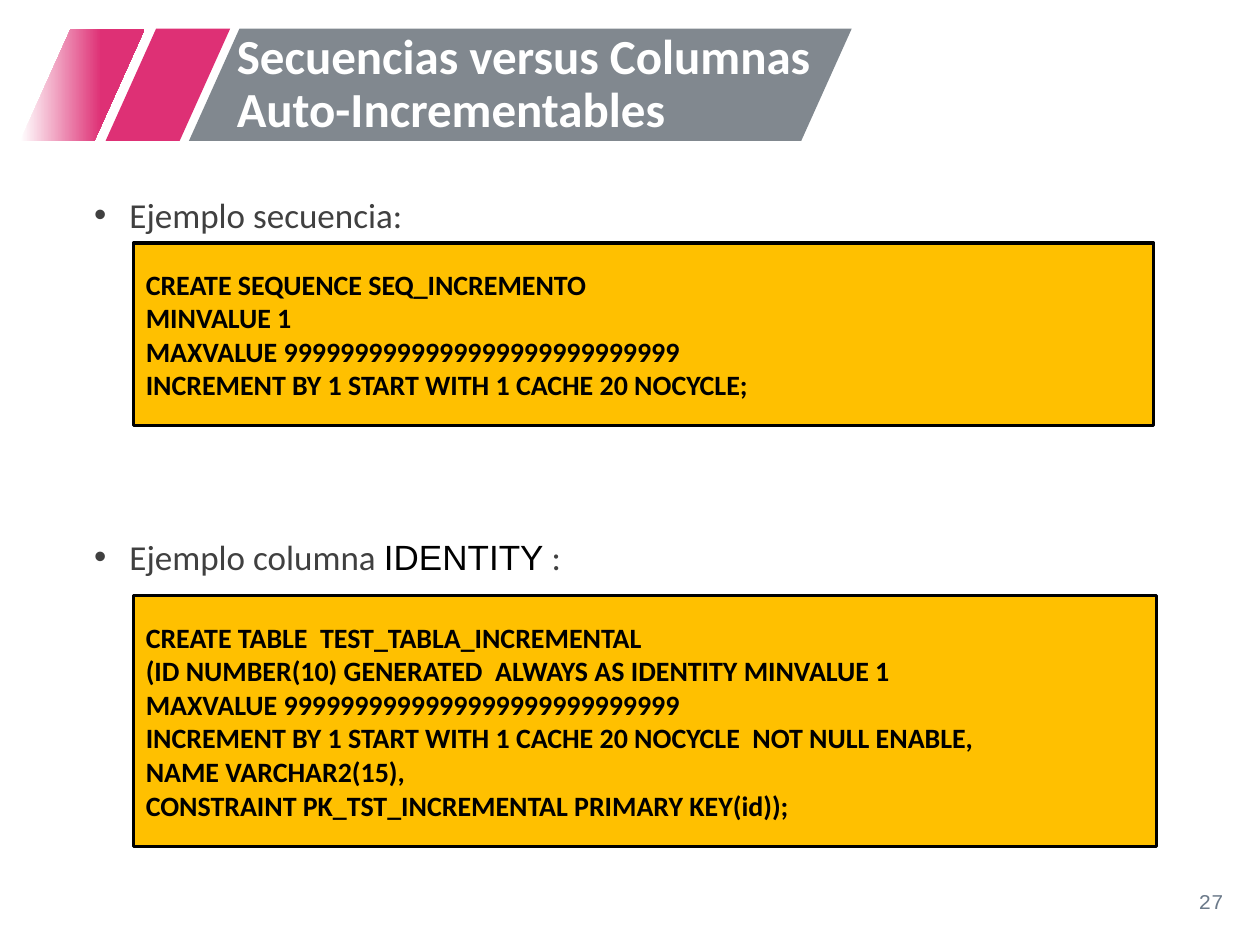
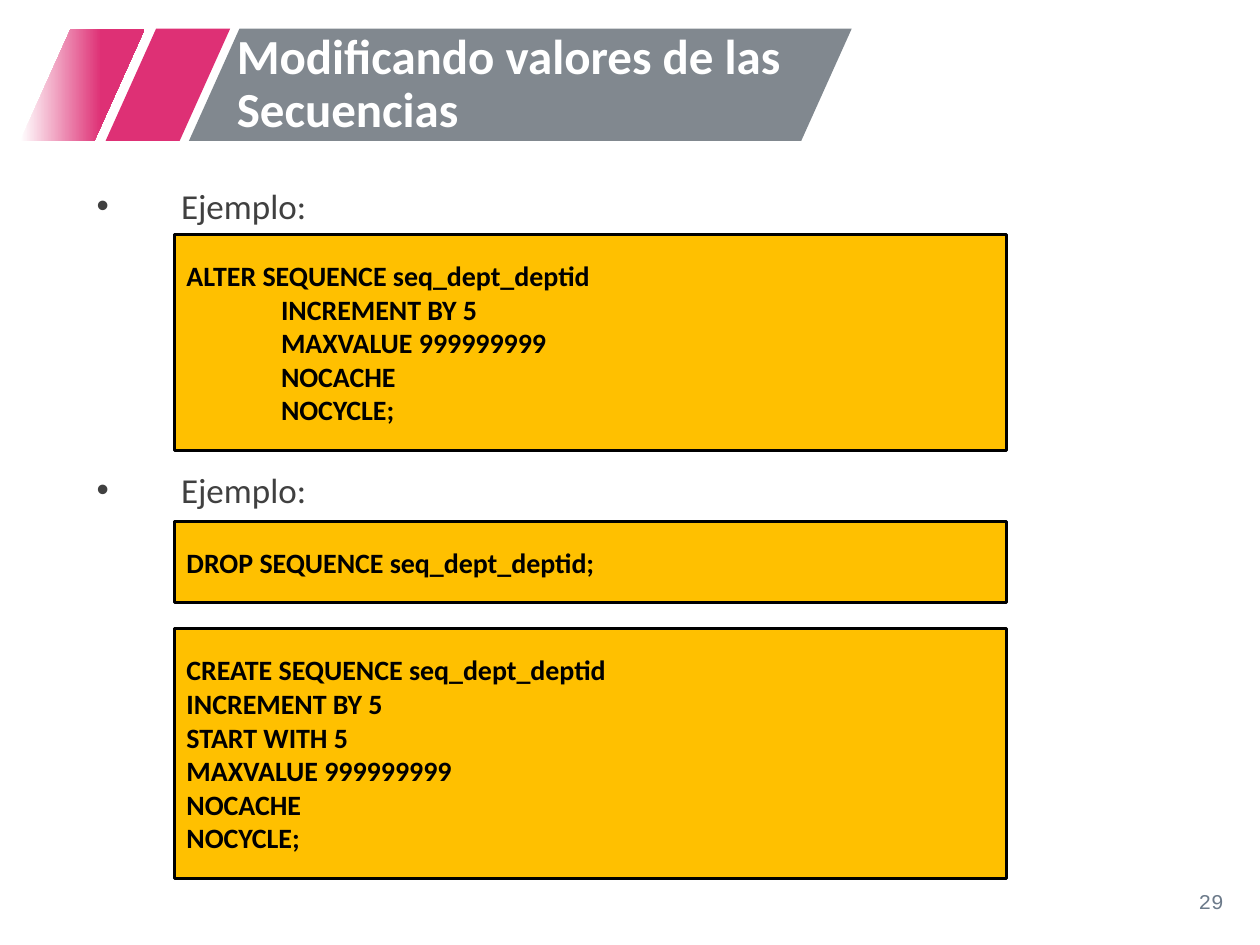
import pptx
import pptx.util
import pptx.dml.color
import pptx.enum.shapes
import pptx.enum.text
from lxml import etree
from pptx.oxml.ns import qn

Cm = pptx.util.Cm
Pt = pptx.util.Pt
RGBColor = pptx.dml.color.RGBColor
MSO_SHAPE = pptx.enum.shapes.MSO_SHAPE
MSO_ANCHOR = pptx.enum.text.MSO_ANCHOR
PP_ALIGN = pptx.enum.text.PP_ALIGN

PINK = RGBColor(0xDE, 0x30, 0x75)
GRAY = RGBColor(0x81, 0x88, 0x8F)
SLATE = RGBColor(0x6C, 0x7A, 0x8A)
DARK = RGBColor(0x40, 0x40, 0x40)
AMBER = RGBColor(0xFF, 0xC0, 0x00)
BLACK = RGBColor(0, 0, 0)
WHITE = RGBColor(0xFF, 0xFF, 0xFF)

TITLE_FONT = {"name": "Calibri", "size": Pt(28), "bold": True}
BODY_FONT = {"name": "Calibri", "size": Pt(20)}
TERM_FONT = {"name": "Arial", "size": Pt(20)}
CODE_FONT = {"name": "Calibri", "size": Pt(16), "bold": True}
NUMBER_FONT = {"name": "Courier New", "size": Pt(12)}

BAND_BOX = (0.41, 0.58, 16.76, 2.26)
NUMBER_BOX = (19.2, 17.65, 5.72, 1.02)


def set_all(obj, values):
    for name, value in values.items():
        setattr(obj, name, value)


def place(box):
    return [Cm(v) for v in box]


def add_run(p, text, font, color):
    r = p.add_run()
    r.text = text
    set_all(r.font, font)
    r.font.color.rgb = color


def add_shape(s, preset, box):
    sp = s.shapes.add_shape(preset, *place(box))
    sp.shadow.inherit = False
    return sp


def add_band(s, box):
    """Two pink slanted tabs, the first fading in, then the grey title bar."""
    left, top, width, height = box
    tab = 2.51
    for dx, w, color in ((1.72, tab, PINK), (0, tab, None),
                         (3.4, width - 3.4, GRAY)):
        sp = add_shape(s, MSO_SHAPE.PARALLELOGRAM, (left + dx, top, w, height))
        sp.adjustments[0] = 0.45
        sp.line.fill.background()
        if color is None:
            sp.fill.gradient()
            sp.fill.gradient_angle = 0
            for stop, pos, c in zip(sp.fill.gradient_stops, (0, 0.65), (WHITE, PINK)):
                stop.position = pos
                stop.color.rgb = c
        else:
            sp.fill.solid()
            sp.fill.fore_color.rgb = color


def add_title(s, text, width):
    left, top, _, height = BAND_BOX
    title = s.shapes.title
    title.element.getparent().append(title.element)  # in front of the band
    box = place((left + 4.11, top, width, height))
    set_all(title, dict(zip(("left", "top", "width", "height"), box)))
    tf = title.text_frame
    set_all(tf, {"word_wrap": True, "vertical_anchor": MSO_ANCHOR.MIDDLE,
                 "auto_size": pptx.enum.text.MSO_AUTO_SIZE.NONE})
    p = tf.paragraphs[0]
    set_all(p, {"alignment": PP_ALIGN.LEFT, "line_spacing": 0.9})
    add_run(p, text, TITLE_FONT, WHITE)


def add_number(s, number, box):
    tf = s.shapes.add_textbox(*place(box)).text_frame
    set_all(tf, {"word_wrap": True, "vertical_anchor": MSO_ANCHOR.MIDDLE})
    p = tf.paragraphs[0]
    p.alignment = PP_ALIGN.RIGHT
    add_run(p, str(number), NUMBER_FONT, SLATE)


def add_bullets(s, box, items, indent, gap, para):
    """Bulleted lines, each a list of runs, set apart by gap points."""
    tf = s.shapes.add_textbox(*place(box)).text_frame
    tf.word_wrap = True
    for i, runs in enumerate(items):
        p = tf.add_paragraph() if i else tf.paragraphs[0]
        pPr = p._p.get_or_add_pPr()
        pPr.set("marL", str(Cm(indent)))
        pPr.set("indent", str(-Cm(indent)))
        etree.SubElement(pPr, qn("a:buFont")).set("typeface", "Arial")
        etree.SubElement(pPr, qn("a:buChar")).set("char", "•")
        set_all(p, para)
        if i:
            p.space_before = Pt(gap)
        for text, font, color in runs:
            add_run(p, text, font, color)


def add_code(s, box, code):
    sp = add_shape(s, MSO_SHAPE.RECTANGLE, box)
    sp.fill.solid()
    sp.fill.fore_color.rgb = AMBER
    sp.line.color.rgb = BLACK
    sp.line.width = Pt(1.75)
    tf = sp.text_frame
    set_all(tf, {"word_wrap": True, "vertical_anchor": MSO_ANCHOR.MIDDLE})
    for i, line in enumerate(code):
        p = tf.add_paragraph() if i else tf.paragraphs[0]
        p.alignment = PP_ALIGN.LEFT
        add_run(p, line, CODE_FONT, BLACK)


def new_slide(prs, title, title_width, number):
    s = prs.slides.add_slide(prs.slide_layouts[5])
    add_band(s, BAND_BOX)
    add_number(s, number, NUMBER_BOX)
    add_title(s, title, title_width)
    return s


def sequences_slide(prs):
    s = new_slide(prs, "Secuencias versus Columnas Auto-Incrementables", 13, 27)
    add_bullets(s, (1.65, 3.78, 22.86, 12.57), [
        [("Ejemplo secuencia:", BODY_FONT, DARK)],
        [("Ejemplo columna ", BODY_FONT, DARK), ("IDENTITY", TERM_FONT, BLACK),
         (" :", BODY_FONT, DARK)],
    ], 0.71, 171.5, {})
    add_code(s, (2.69, 4.9, 20.57, 3.68), [
        "CREATE SEQUENCE SEQ_INCREMENTO",
        "MINVALUE 1",
        "MAXVALUE 9999999999999999999999999999",
        "INCREMENT BY 1 START WITH 1 CACHE 20 NOCYCLE;",
    ])
    add_code(s, (2.69, 12.01, 20.62, 5.05), [
        "CREATE TABLE  TEST_TABLA_INCREMENTAL",
        "(ID NUMBER(10) GENERATED  ALWAYS AS IDENTITY MINVALUE 1",
        "MAXVALUE 9999999999999999999999999999",
        "INCREMENT BY 1 START WITH 1 CACHE 20 NOCYCLE  NOT NULL ENABLE,",
        "NAME VARCHAR2(15),",
        "CONSTRAINT PK_TST_INCREMENTAL PRIMARY KEY(id));",
    ])


def changes_slide(prs):
    s = new_slide(prs, "Modificando valores de las Secuencias", 12.42, 29)
    add_bullets(s, (1.7, 3.76, 22.86, 12.57),
                [[("Ejemplo:", BODY_FONT, DARK)]] * 2, 1.7, 143,
                {"alignment": PP_ALIGN.JUSTIFY, "line_spacing": 0.8})
    blocks = [
        (4.72, 4.37, [
            "ALTER SEQUENCE seq_dept_deptid",
            "               INCREMENT BY 5",
            "               MAXVALUE 999999999",
            "               NOCACHE",
            "               NOCYCLE;",
        ]),
        (10.52, 1.63, ["DROP SEQUENCE seq_dept_deptid;"]),
        (12.67, 5.05, [
            "CREATE SEQUENCE seq_dept_deptid",
            "INCREMENT BY 5",
            "START WITH 5",
            "MAXVALUE 999999999",
            "NOCACHE",
            "NOCYCLE;",
        ]),
    ]
    for top, height, code in blocks:
        add_code(s, (3.51, top, 16.79, height), code)


def main():
    prs = pptx.Presentation()
    set_all(prs, {"slide_width": Cm(25.4), "slide_height": Cm(19.05)})
    sequences_slide(prs)
    changes_slide(prs)
    prs.save("out.pptx")


if __name__ == "__main__":
    main()
